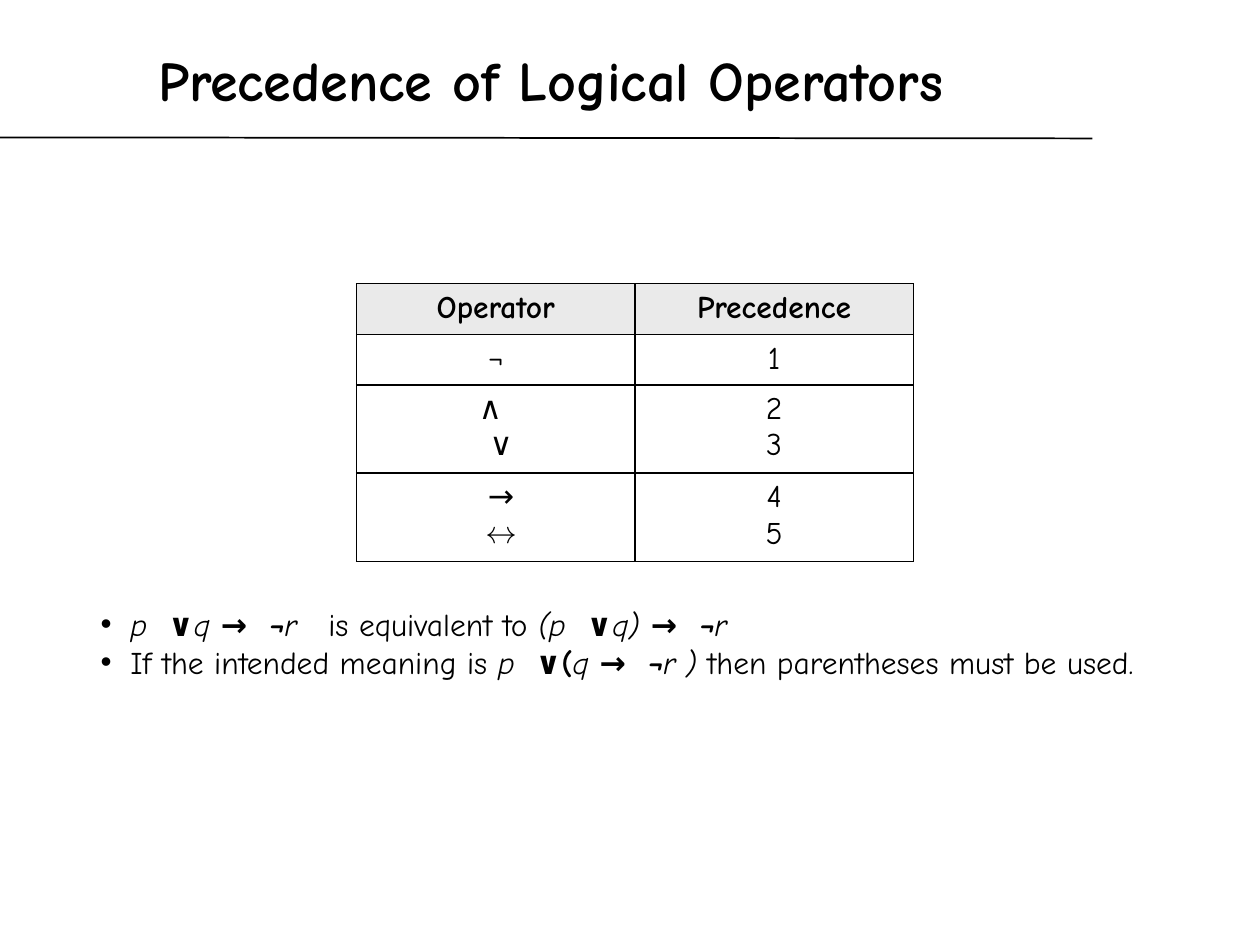
from pptx import Presentation
from pptx.dml.color import RGBColor
from pptx.enum.shapes import MSO_CONNECTOR
from pptx.enum.text import MSO_ANCHOR, PP_ALIGN
from pptx.oxml.ns import qn
from pptx.util import Cm, Pt
from lxml import etree

STRAIGHT = MSO_CONNECTOR.STRAIGHT
MIDDLE = MSO_ANCHOR.MIDDLE
CENTER, JUSTIFY = PP_ALIGN.CENTER, PP_ALIGN.JUSTIFY
FONT, BLACK, HEADER_FILL = "Comic Neue", "000000", "EAEAEA"
BODY_SIZE = 18

PRECEDENCE_ROWS = [
    ("Operator", "Precedence"),
    ("¬", "1"),
    (" ∧  \n ∨", "2\n3"),
    (" →\n ↔", "4\n5"),
]
ROW_HEIGHTS = [1.02, 1.02, 1.78, 1.78]
NOTES = [
    [("p  ", "i"), ("∨", "b"), ("q ", "i"), ("→  ¬", "bi"), ("r   ", "i"),
     ("is equivalent to ", ""), ("(p  ", "i"), ("∨", "b"), ("q)", "i"),
     (" →  ¬", "bi"), ("r", "i")],
    [("If the intended meaning is ", ""), ("p  ", "i"), ("∨(", "b"),
     ("q ", "i"), ("→  ¬", "bi"), ("r ) ", "i"),
     ("then parentheses must be used.", "")],
]


def color(hex_code):
    """Turn a hex string into a colour."""
    return RGBColor.from_string(hex_code)


def format_run(run, size, style=""):
    """Set font, size, colour and the b/i style of a run."""
    font = run.font
    font.name, font.size = FONT, Pt(size)
    font.bold, font.italic = "b" in style, "i" in style
    font.color.rgb = color(BLACK)


def format_frame(frame, size, style, align):
    """Format every paragraph of a text frame alike."""
    for paragraph in frame.paragraphs:
        paragraph.alignment = align
        for run in paragraph.runs:
            format_run(run, size, style)


def add_title(slide, wording):
    """Fill and place the title placeholder."""
    title = slide.shapes.title
    title.left, title.top, title.width, title.height = (
        Cm(0.2), Cm(0.41), Cm(21.82), Cm(2.39))
    title.text_frame.text = wording
    title.text_frame.vertical_anchor = MIDDLE
    format_frame(title.text_frame, 32, "b", CENTER)


def add_title_rule(slide):
    """Draw the thin line under the title."""
    rule = slide.shapes.add_connector(
        STRAIGHT, Cm(0), Cm(2.77), Cm(22.02), Cm(2.79))
    rule.line.color.rgb = color(BLACK)
    rule.line.width = Pt(1)
    etree.SubElement(rule.element.spPr, qn("a:effectLst"))


def add_cell_borders(cell):
    """Give a cell a black one-point border on all sides."""
    properties = cell._tc.get_or_add_tcPr()
    for position, side in enumerate(("lnL", "lnR", "lnT", "lnB")):
        border = etree.Element(qn(f"a:{side}"), w=str(Pt(1)))
        fill = etree.SubElement(border, qn("a:solidFill"))
        etree.SubElement(fill, qn("a:srgbClr"), val=BLACK)
        properties.insert(position, border)


def add_precedence_table(slide):
    """Add the table of operators and their precedence."""
    table = slide.shapes.add_table(
        len(PRECEDENCE_ROWS), 2, Cm(7.19), Cm(5.72),
        Cm(11.22), Cm(sum(ROW_HEIGHTS))).table
    table.horz_banding = table.first_row = False
    for row_index, wordings in enumerate(PRECEDENCE_ROWS):
        is_header = row_index == 0
        table.rows[row_index].height = Cm(ROW_HEIGHTS[row_index])
        for column_index, wording in enumerate(wordings):
            cell = table.cell(row_index, column_index)
            cell.text_frame.text = wording
            format_frame(cell.text_frame, BODY_SIZE,
                         "b" if is_header else "", CENTER)
            if is_header:
                cell.fill.solid()
                cell.fill.fore_color.rgb = color(HEADER_FILL)
            else:
                cell.fill.background()
            add_cell_borders(cell)


def add_bullet(paragraph):
    """Give a paragraph a hanging round bullet."""
    properties = paragraph._p.get_or_add_pPr()
    properties.set("marL", str(Cm(0.6)))
    properties.set("indent", str(-Cm(0.6)))
    etree.SubElement(properties, qn("a:buFont"), typeface="Arial")
    etree.SubElement(properties, qn("a:buChar"), char="•")


def add_notes(slide):
    """Add the bulleted remarks below the table."""
    frame = slide.shapes.add_textbox(
        Cm(1.78), Cm(12.07), Cm(22.63), Cm(1.8)).text_frame
    frame.word_wrap = True
    for index, parts in enumerate(NOTES):
        paragraph = frame.add_paragraph() if index else frame.paragraphs[0]
        paragraph.alignment = JUSTIFY
        add_bullet(paragraph)
        for wording, style in parts:
            run = paragraph.add_run()
            run.text = wording
            format_run(run, BODY_SIZE, style)


def main():
    """Build the slide and save it."""
    deck = Presentation()
    deck.slide_width, deck.slide_height = Cm(25.4), Cm(19.05)
    slide = deck.slides.add_slide(deck.slide_layouts[5])
    add_title_rule(slide)
    add_title(slide, "Precedence of Logical Operators")
    add_precedence_table(slide)
    add_notes(slide)
    deck.save("out.pptx")


main()
